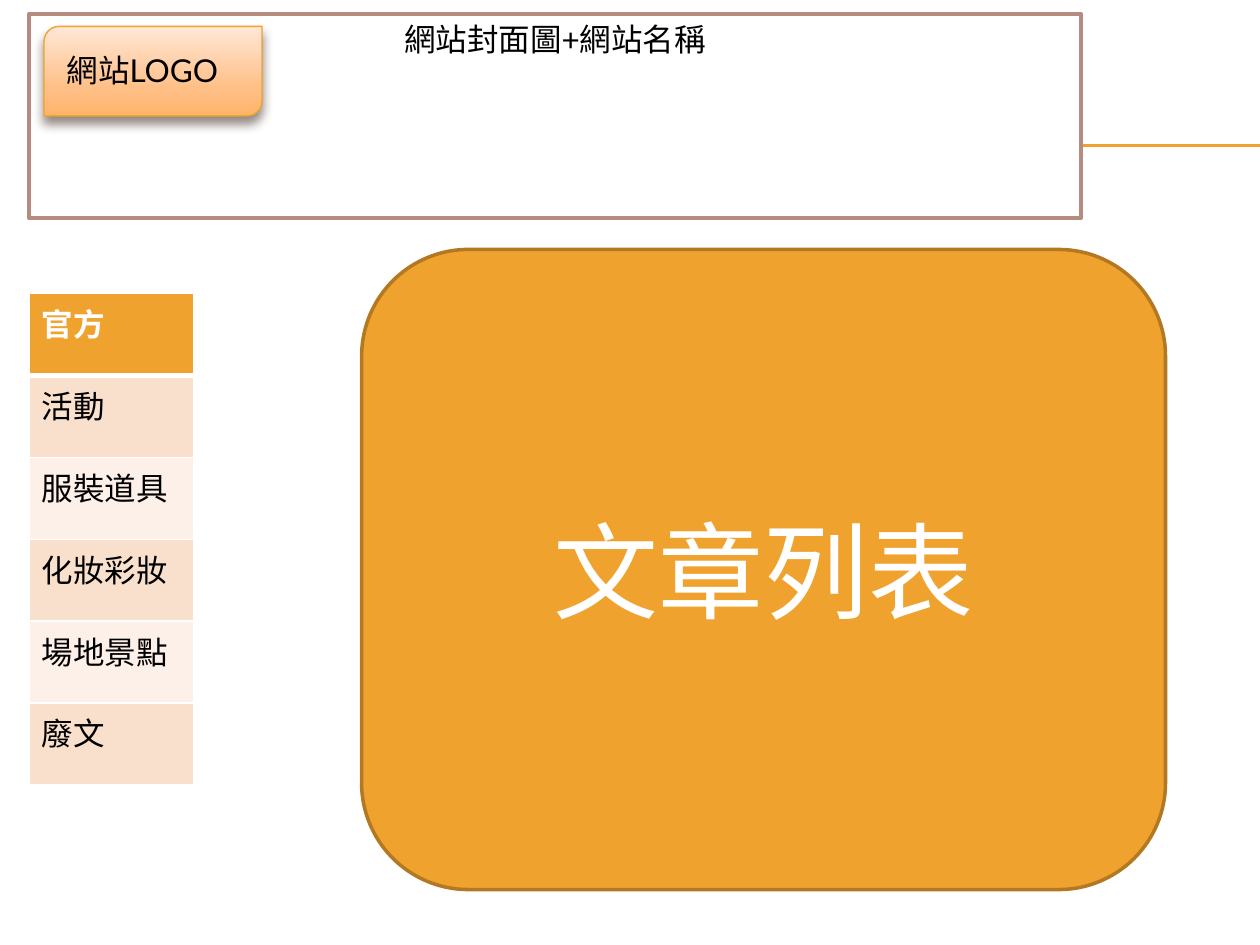
from lxml import etree
from pptx import Presentation
from pptx.dml.color import RGBColor
from pptx.enum import shapes, text
from pptx.oxml import ns
from pptx.util import Inches, Pt

# Content
BANNER = "網站封面圖+網站名稱"
LOGO = "網站LOGO"
MENU = ["官方", "活動", "服裝道具", "化妝彩妝", "場地景點", "廢文"]
ARTICLES = "文章列表"

FONT = "Lato"
C = {"white": "FFFFFF", "black": "000000", "orange": "F0A22E",
     "dark_orange": "B27822", "rose": "B58B80", "shadow": "4E3B30",
     "band_dark": "F9E0CD", "band_light": "FCF0E8"}
LOGO_STOPS = [(0, "FFE7D7"), (72, "FFBE84"), (100, "FFB468")]
DIVIDER_YS = [1.15, 1.16]
ROW_H = 0.65


def rgb(name):
    return RGBColor.from_string(C[name])


def add_xml(parent, tag, **attrs):
    return etree.SubElement(parent, ns.qn(tag), {k: str(v) for k, v in attrs.items()})


def add_color(parent, value):
    return add_xml(parent, "a:srgbClr", val=value)


def write(tf, content, size=18, color="black", bold=False,
          align=text.PP_ALIGN.LEFT, anchor=text.MSO_ANCHOR.TOP):
    tf.word_wrap = True
    tf.vertical_anchor = anchor
    p = tf.paragraphs[0]
    p.alignment = align
    r = p.add_run()
    r.text = content
    r.font.name, r.font.size, r.font.bold = FONT, Pt(size), bold
    r.font.color.rgb = rgb(color)


def add_box(kind, box, line, width, fill=None):
    sp = slide.shapes.add_shape(kind, *map(Inches, box))
    sp.shadow.inherit = False
    if fill:
        sp.fill.solid()
        sp.fill.fore_color.rgb = rgb(fill)
    sp.line.color.rgb = rgb(line)
    sp.line.width = Pt(width)
    return sp


def set_borders(cell, **widths):
    tc_pr = cell._tc.get_or_add_tcPr()
    for i, (side, width) in enumerate(widths.items()):
        ln = etree.Element(ns.qn("a:ln" + side), w=str(Pt(width)))
        add_color(add_xml(ln, "a:solidFill"), C["white"])
        tc_pr.insert(i, ln)


prs = Presentation()
prs.slide_width, prs.slide_height = Inches(10), Inches(7.5)
slide = prs.slides.add_slide(prs.slide_layouts[6])
SHAPE = shapes.MSO_SHAPE

# Divider behind the banner
for y in DIVIDER_YS:
    line = slide.shapes.add_connector(
        shapes.MSO_CONNECTOR.STRAIGHT, Inches(0.56), Inches(y), Inches(10), Inches(y))
    line.line.color.rgb = rgb("orange")
    line.line.width = Pt(0.75)
    add_xml(line._element.spPr, "a:effectLst")

# Banner
banner = add_box(SHAPE.RECTANGLE, (0.23, 0.11, 8.35, 1.62), "rose", 2, "white")
write(banner.text_frame, BANNER, align=text.PP_ALIGN.CENTER)

# Site badge with gradient and soft shadow
badge = add_box(SHAPE.ROUND_2_DIAG_RECTANGLE, (0.35, 0.21, 1.73, 0.71), "orange", 0.79)
badge.fill.gradient()
badge.fill.gradient_angle = 270
sp_pr = badge._element.spPr
stops = sp_pr.find(".//" + ns.qn("a:gsLst"))
for old in list(stops):
    stops.remove(old)
for pos, value in LOGO_STOPS:
    add_color(add_xml(stops, "a:gs", pos=pos * 1000), value)
shadow = add_xml(sp_pr.find(ns.qn("a:effectLst")), "a:outerShdw", blurRad=Pt(6),
                 dist=Pt(4), dir=90 * 60000, rotWithShape=0)
add_xml(add_color(shadow, C["shadow"]), "a:alpha", val=60000)

label = slide.shapes.add_textbox(*map(Inches, (0.43, 0.36, 1.81, 0.4)))
write(label.text_frame, LOGO)

# Menu table
table = slide.shapes.add_table(
    len(MENU), 1, *map(Inches, (0.23, 2.33, 1.31, ROW_H * len(MENU)))).table
for i, item in enumerate(MENU):
    table.rows[i].height = Inches(ROW_H)
    cell = table.cell(i, 0)
    header = i == 0
    cell.fill.solid()
    cell.fill.fore_color.rgb = rgb(
        "orange" if header else "band_dark" if i % 2 else "band_light")
    write(cell.text_frame, item, color="white" if header else "black", bold=header)
    set_borders(cell, L=1, R=1, T=3 if i == 1 else 1, B=3 if header else 1)

# Article list
articles = add_box(SHAPE.ROUNDED_RECTANGLE, (2.87, 1.98, 6.38, 5.08),
                   "dark_orange", 2, "orange")
write(articles.text_frame, ARTICLES, size=60, color="white",
      align=text.PP_ALIGN.CENTER, anchor=text.MSO_ANCHOR.MIDDLE)

prs.save("out.pptx")
